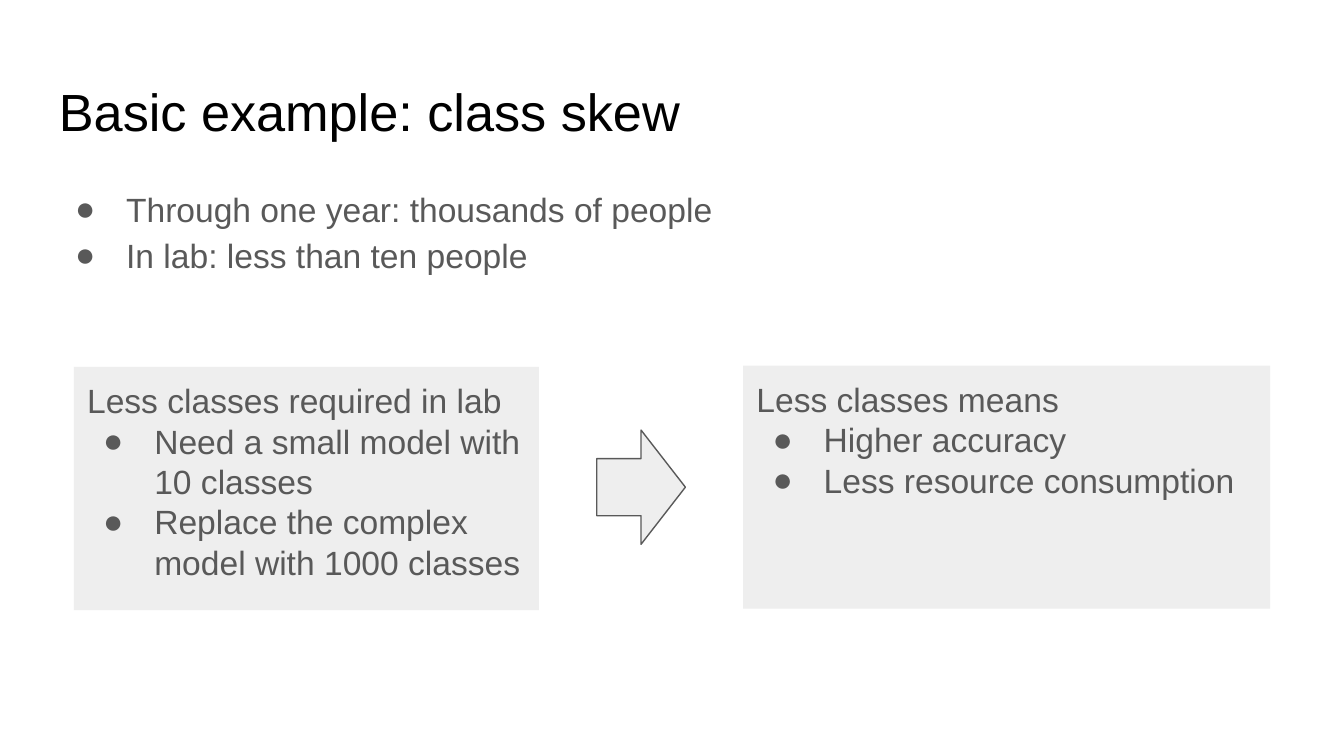
import pptx
import pptx.dml.color
import pptx.enum.shapes
import pptx.enum.text
import pptx.util
from lxml import etree
from pptx.util import Inches

GRAY = "595959"
LIGHT_GRAY = "EEEEEE"
DRAWING = "http://schemas.openxmlformats.org/drawingml/2006/main"


def color(hex_string):
    return pptx.dml.color.RGBColor.from_string(hex_string)


def write_text(shape, lines, size=18, font_color=GRAY, line_spacing=1.0):
    """Fill a shape with (text, is_bullet) lines."""
    frame = shape.text_frame
    frame.word_wrap = True
    frame.vertical_anchor = pptx.enum.text.MSO_ANCHOR.TOP
    frame.margin_left = frame.margin_right = Inches(0.1)
    frame.margin_top = frame.margin_bottom = Inches(0.1)
    for index, (text, is_bullet) in enumerate(lines):
        paragraph = frame.add_paragraph() if index else frame.paragraphs[0]
        paragraph.text = text
        paragraph.alignment = pptx.enum.text.PP_ALIGN.LEFT
        paragraph.line_spacing = line_spacing
        if is_bullet:
            properties = paragraph._p.get_or_add_pPr()
            properties.set("marL", str(Inches(0.5)))
            properties.set("indent", str(Inches(-0.38)))
            bullet_color = etree.SubElement(properties, f"{{{DRAWING}}}buClr")
            etree.SubElement(bullet_color, f"{{{DRAWING}}}srgbClr", val=font_color)
            etree.SubElement(properties, f"{{{DRAWING}}}buFont", typeface="Arial")
            etree.SubElement(properties, f"{{{DRAWING}}}buChar", char="●")
        paragraph.font.name = "Arial"
        paragraph.font.size = pptx.util.Pt(size)
        paragraph.font.color.rgb = color(font_color)


# Widescreen 16:9 page
presentation = pptx.Presentation()
presentation.slide_width = Inches(10)
presentation.slide_height = Inches(10 * 9 / 16)
slide = presentation.slides.add_slide(presentation.slide_layouts[6])
shapes = slide.shapes

# Title
title = shapes.add_textbox(Inches(0.34), Inches(0.49), Inches(9.32), Inches(0.63))
write_text(title, [("Basic example: class skew", False)], size=28, font_color="000000")

# Observations
observations = shapes.add_textbox(Inches(0.34), Inches(1.26), Inches(7.91), Inches(0.87))
write_text(observations, [
    ("Through one year: thousands of people", True),
    ("In lab: less than ten people", True),
], line_spacing=1.15)

# Cause and effect boxes
boxes = [
    (0.55, 2.73, 3.46, [
        ("Less classes required in lab", False),
        ("Need a small model with 10 classes", True),
        ("Replace the complex model with 1000 classes", True),
    ]),
    (5.53, 2.72, 3.92, [
        ("Less classes means", False),
        ("Higher accuracy", True),
        ("Less resource consumption", True),
    ]),
]
for left, top, width, lines in boxes:
    box = shapes.add_shape(pptx.enum.shapes.MSO_SHAPE.RECTANGLE,
                           Inches(left), Inches(top), Inches(width), Inches(1.81))
    box.shadow.inherit = False
    box.fill.solid()
    box.fill.fore_color.rgb = color(LIGHT_GRAY)
    box.line.fill.background()
    write_text(box, lines)

# Arrow from cause to effect
arrow = shapes.add_shape(pptx.enum.shapes.MSO_SHAPE.RIGHT_ARROW,
                         Inches(4.44), Inches(3.2), Inches(0.66), Inches(0.85))
arrow.shadow.inherit = False
arrow.fill.solid()
arrow.fill.fore_color.rgb = color(LIGHT_GRAY)
arrow.line.color.rgb = color(GRAY)
arrow.line.width = pptx.util.Pt(0.75)

presentation.save("out.pptx")
